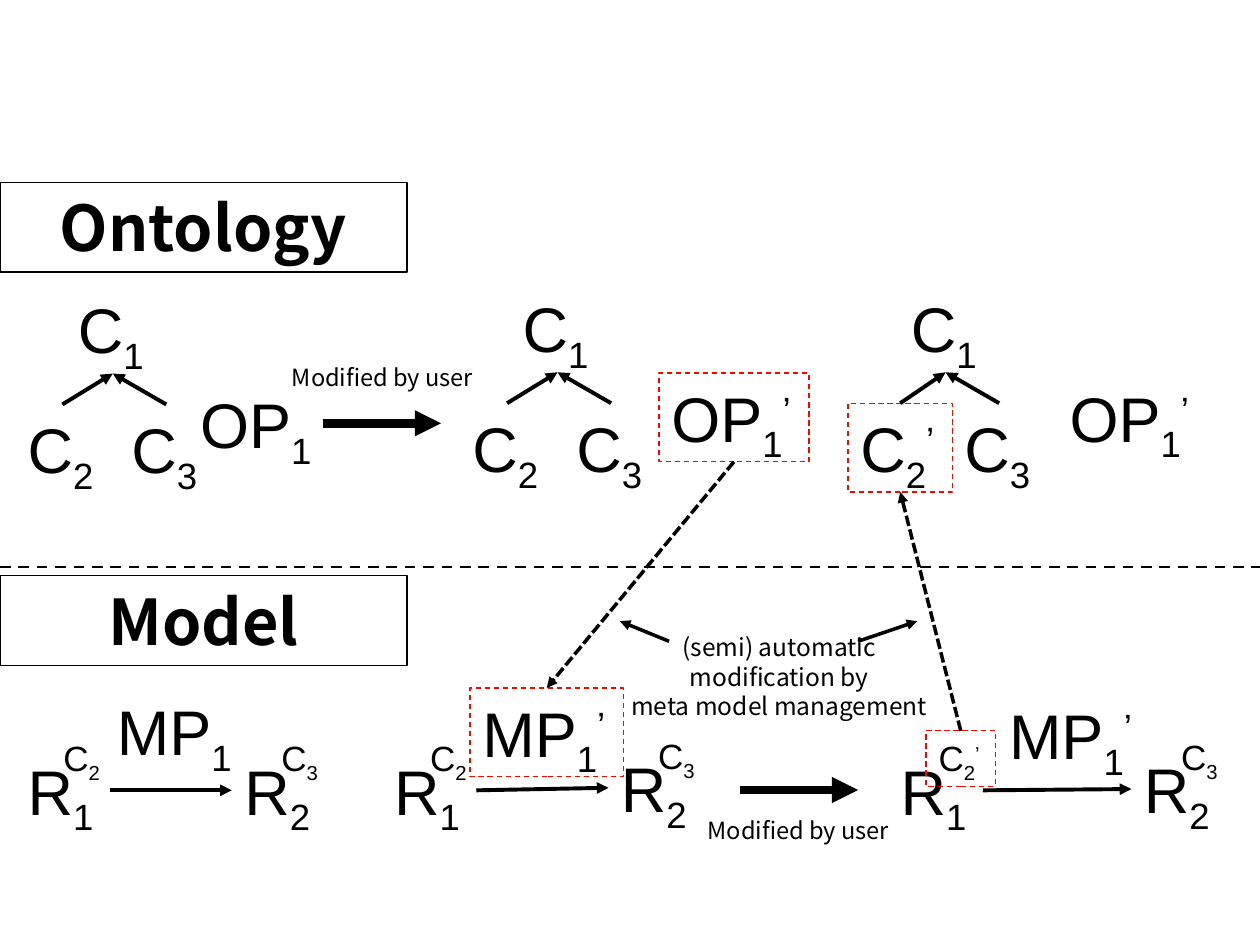
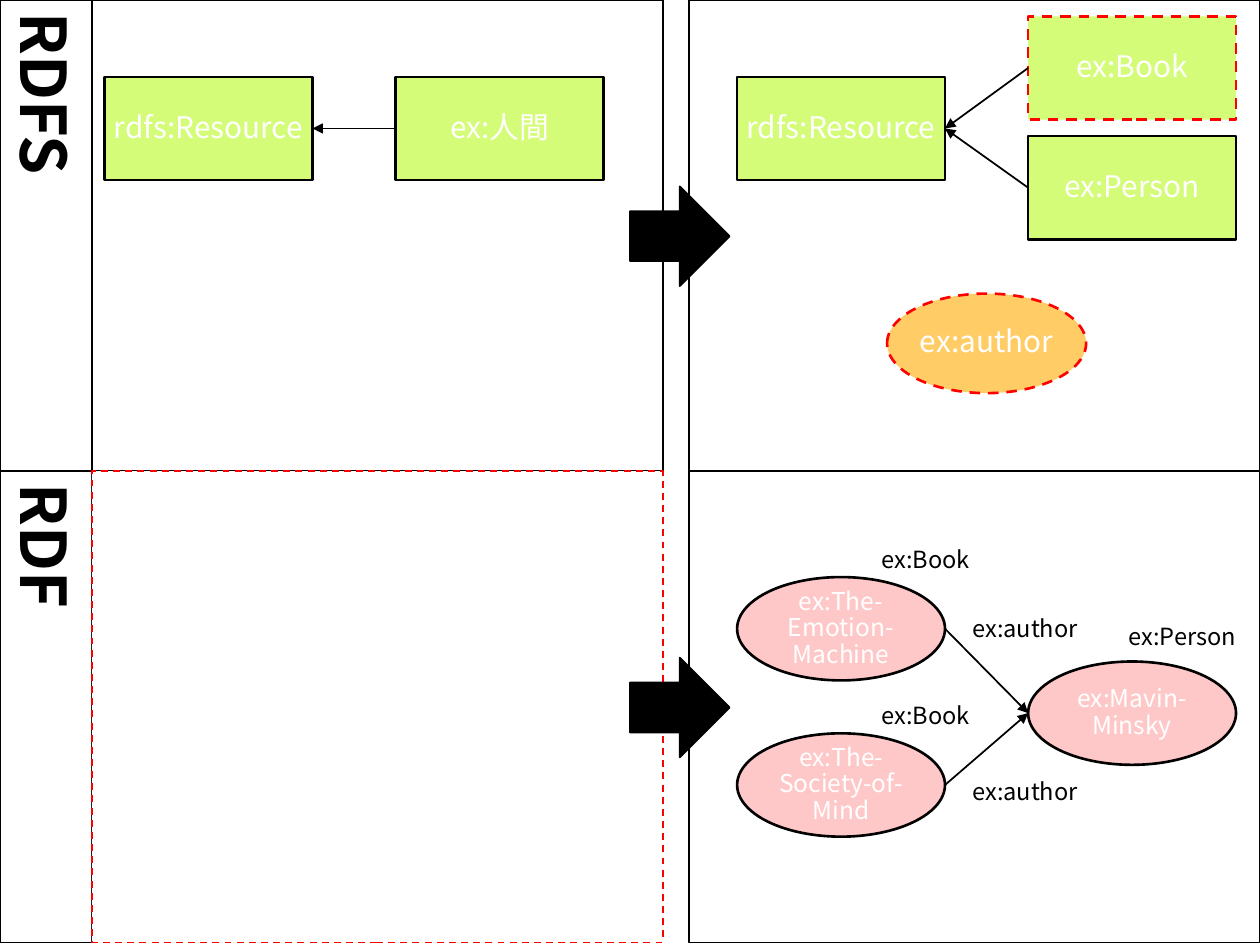
from lxml import etree
from pptx import Presentation
from pptx.dml.color import RGBColor
from pptx.enum.dml import MSO_LINE
from pptx.enum.shapes import MSO_CONNECTOR, MSO_SHAPE
from pptx.enum.text import MSO_ANCHOR, PP_ALIGN
from pptx.oxml.ns import qn
from pptx.util import Inches, Pt

RECT, OVAL, BLOCK_ARROW = MSO_SHAPE.RECTANGLE, MSO_SHAPE.OVAL, MSO_SHAPE.RIGHT_ARROW
LEFT_ALIGN, CENTER = PP_ALIGN.LEFT, PP_ALIGN.CENTER
TOP_ANCHOR, MIDDLE = MSO_ANCHOR.TOP, MSO_ANCHOR.MIDDLE
DASH, DOT = MSO_LINE.DASH, MSO_LINE.SQUARE_DOT
STRAIGHT = MSO_CONNECTOR.STRAIGHT
TOP, LEFT, BOTTOM, RIGHT = range(4)

BLACK, WHITE, RED = "000000", "FFFFFF", "FF0000"
CLASS_GREEN, PROPERTY_ORANGE, INSTANCE_PINK = "D5FC79", "FFCC66", "FFC8C8"
SYMBOL_FONT, TEXT_FONT = "Arial", "Noto Sans CJK JP"
COLUMNS, ROWS = 100, 75


def color(value):
    return RGBColor.from_string(value)


class Sketch:
    def __init__(self):
        self.deck = Presentation()
        self.deck.slide_width, self.deck.slide_height = Inches(10), Inches(7.5)
        self.page = None

    def new_page(self):
        self.page = self.deck.slides.add_slide(self.deck.slide_layouts[6])

    def grid(self, *cells):
        units = self.deck.slide_width / COLUMNS, self.deck.slide_height / ROWS
        return [round(cell * units[place % 2]) for place, cell in enumerate(cells)]

    def outline(self, line, value, width, dash=None):
        line.color.rgb = color(value)
        line.width = Pt(width)
        if dash:
            line.dash_style = dash

    def span(self, para, text, size, font=TEXT_FONT, value=BLACK, bold=False, shift=0):
        span = para.add_run()
        span.text = text
        span.font.size, span.font.bold, span.font.name = Pt(size), bold, font
        span.font.color.rgb = color(value)
        properties = span.font._element
        etree.SubElement(properties, qn("a:ea")).set("typeface", font)
        if shift:
            properties.set("baseline", str(shift * 1000))

    def shape(self, kind, area, fill=None, line=BLACK, width=1, dash=None):
        shape = self.page.shapes.add_shape(kind, *self.grid(*area))
        shape.shadow.inherit = False
        if fill:
            shape.fill.solid()
            shape.fill.fore_color.rgb = color(fill)
        else:
            shape.fill.background()
        self.outline(shape.line, line, width, dash)
        return shape

    def frame(self, box, wrap=False, anchor=TOP_ANCHOR):
        box.text_frame.word_wrap = wrap
        box.text_frame.vertical_anchor = anchor
        return box.text_frame

    def label(self, lines, area, size=13.5, align=LEFT_ALIGN):
        box = self.page.shapes.add_textbox(*self.grid(*area))
        frame = self.frame(box)
        for number, text in enumerate(lines):
            para = frame.add_paragraph() if number else frame.paragraphs[0]
            para.alignment = align
            self.span(para, text, size)

    def heading(self, text, area, vertical=False, fill=None, width=0.75):
        box = self.shape(RECT, area, fill, width=width)
        frame = self.frame(box, True, MIDDLE if vertical else TOP_ANCHOR)
        if vertical:
            frame._txBody.bodyPr.set("vert", "eaVert")
        para = frame.paragraphs[0]
        para.alignment = LEFT_ALIGN if vertical else CENTER
        self.span(para, text, 36, bold=True)

    def symbol(self, letters, index, left, top, width=7.5, prime=False, boxed=False, size=36):
        area = left, top, width, 7.05 if size == 36 else 4.4
        if boxed:
            box = self.shape(RECT, area, line=RED, width=0.75, dash=DASH)
        else:
            box = self.page.shapes.add_textbox(*self.grid(*area))
        para = self.frame(box).paragraphs[0]
        para.alignment = LEFT_ALIGN
        self.span(para, letters, size, SYMBOL_FONT)
        self.span(para, index, size, SYMBOL_FONT, shift=-25)
        if prime:
            self.span(para, "’", size, SYMBOL_FONT, shift=30)
        return box

    def node(self, text, left, top, kind=RECT, fill=CLASS_GREEN, size=17, new=False, width=16.5, height=8.2):
        style = (RED, 1.5, DASH) if new else (BLACK, 1.5)
        box = self.shape(kind, (left, top, width, height), fill, *style)
        frame = self.frame(box, True, MIDDLE)
        frame.margin_left = frame.margin_right = Inches(0.01)
        frame.margin_top = frame.margin_bottom = Inches(0.01)
        para = frame.paragraphs[0]
        para.alignment, para.line_spacing = CENTER, 0.9
        self.span(para, text, size, value=WHITE)
        return box

    def line(self, points, width=2.25, dash=None, arrow=True):
        line = self.page.shapes.add_connector(STRAIGHT, *self.grid(*points))
        self.outline(line.line, BLACK, width, dash)
        properties = line._element.spPr
        if arrow:
            etree.SubElement(properties.find(qn("a:ln")), qn("a:tailEnd")).set("type", "triangle")
        etree.SubElement(properties, qn("a:effectLst"))
        return line

    def join(self, start, start_side, end, end_side, width=2.25, dash=None):
        line = self.line((0, 0, 0, 0), width, dash)
        line.begin_connect(start, start_side)
        line.end_connect(end, end_side)

    def class_tree(self, left, top, changed=False):
        parent = self.symbol("C", "1", left + 4, top)
        first = self.symbol("C", "2", left, top + 9.5, 8.3 if changed else 7.5, changed, changed)
        second = self.symbol("C", "3", left + 8.25, top + 9.5)
        for child in (first, second):
            self.join(child, TOP, parent, BOTTOM)
        return first

    def relation(self, left, right, right_top, changed=False):
        source = self.symbol("R", "1", left, 59.2)
        target = self.symbol("R", "2", right, right_top)
        self.join(source, RIGHT, target, LEFT)
        kind = self.symbol("C", "2", left + (3 if changed else 2.85), 58, 5.5 if changed else 5,
                           changed, changed, 20)
        self.symbol("C", "3", right + 2.95, right_top - 1.2, 5, size=20)
        return kind


def ontology_and_model(sketch):
    sketch.new_page()
    sketch.class_tree(1.2, 22.6)
    sketch.class_tree(36.5, 22.5)
    changed_class = sketch.class_tree(67.3, 22.5, True)

    sketch.relation(1.2, 18.4, 59.2)
    sketch.relation(30.3, 48.3, 59)
    changed_kind = sketch.relation(70.5, 89.8, 59.1, True)

    sketch.symbol("OP", "1", 14.9, 30.1, 11.2)
    sketch.symbol("MP", "1", 8.3, 54.5, 11.5)
    changed_property = sketch.symbol("OP", "1", 52.3, 29.6, 11.9, True, True)
    changed_model = sketch.symbol("MP", "1", 37.3, 54.6, 12.2, True, True)
    sketch.symbol("OP", "1", 83.9, 29.6, 11.9, True)
    sketch.symbol("MP", "1", 79.1, 54.8, 12.2, True)

    sketch.join(changed_property, BOTTOM, changed_model, TOP, 2, DOT)
    sketch.join(changed_kind, TOP, changed_class, BOTTOM, 2, DOT)
    for left, row, label_left, label_top in ((25.6, 33.6, 21.6, 28.3), (58.7, 62.7, 54.6, 64.3)):
        sketch.line((left, row, left + 9.4, row), 5)
        sketch.label(["Modified by user"], (label_left, label_top, 17.5, 3.3), align=CENTER)

    sketch.line((0, 45, 100, 45), 1.5, DASH, False)
    sketch.label(["(semi) automatic", "modification by", "meta model management"],
                 (48.7, 49.7, 26.3, 8.1), 14, CENTER)
    for start, end in ((68.1, 72.8), (53.1, 49.2)):
        sketch.line((start, 50.9, end, 49.3), 2)
    for text, top in (("Ontology", 14.5), ("Model", 45.7)):
        sketch.heading(text, (0, top, 32.3, 7.1))


def rdfs_and_rdf(sketch):
    sketch.new_page()
    height = 37.4
    for number, text in enumerate(("RDFS", "RDF")):
        top = number * height
        style = (RED, 1, DASH) if number else (BLACK, 1)
        sketch.heading(text, (0, top, 7.3, height), True, WHITE, 1)
        sketch.shape(RECT, (7.3, top, 45.3, height), WHITE, *style)
        sketch.shape(RECT, (54.7, top, 45.3, height), WHITE)
        sketch.shape(BLOCK_ARROW, (50, top + 14.8, 7.9, 7.9), BLACK)

    resource_before, resource_after = [
        sketch.node("rdfs:Resource", left, 6.1) for left in (8.3, 58.5)]
    human = sketch.node("ex:人間", 31.4, 6.1)
    book = sketch.node("ex:Book", 81.6, 1.3, new=True)
    person = sketch.node("ex:Person", 81.6, 10.8)
    for child, parent in ((human, resource_before), (book, resource_after), (person, resource_after)):
        sketch.join(child, LEFT, parent, RIGHT, 1)
    sketch.node("ex:author", 70.4, 23.3, OVAL, PROPERTY_ORANGE, new=True, width=15.8, height=7.9)

    sketch.node("ex:Mavin-Minsky", 81.6, 52.5, OVAL, INSTANCE_PINK, 14)
    sketch.label(["ex:Person"], (88.6, 48.9, 10.9, 3.3))
    for text, top, author_top in (("ex:The-Emotion-Machine", 45.8, 48.2),
                                  ("ex:The-Society-of-Mind", 58.2, 61.2)):
        sketch.node(text, 58.5, top, OVAL, INSTANCE_PINK, 14)
        sketch.line((75, top + 4.1, 81.6, 56.6), 1)
        sketch.label(["ex:Book"], (69, top - 3.05, 9.2, 3.3))
        sketch.label(["ex:author"], (76.2, author_top, 10.5, 3.3))


def main():
    sketch = Sketch()
    ontology_and_model(sketch)
    rdfs_and_rdf(sketch)
    sketch.deck.save("out.pptx")


if __name__ == "__main__":
    main()
